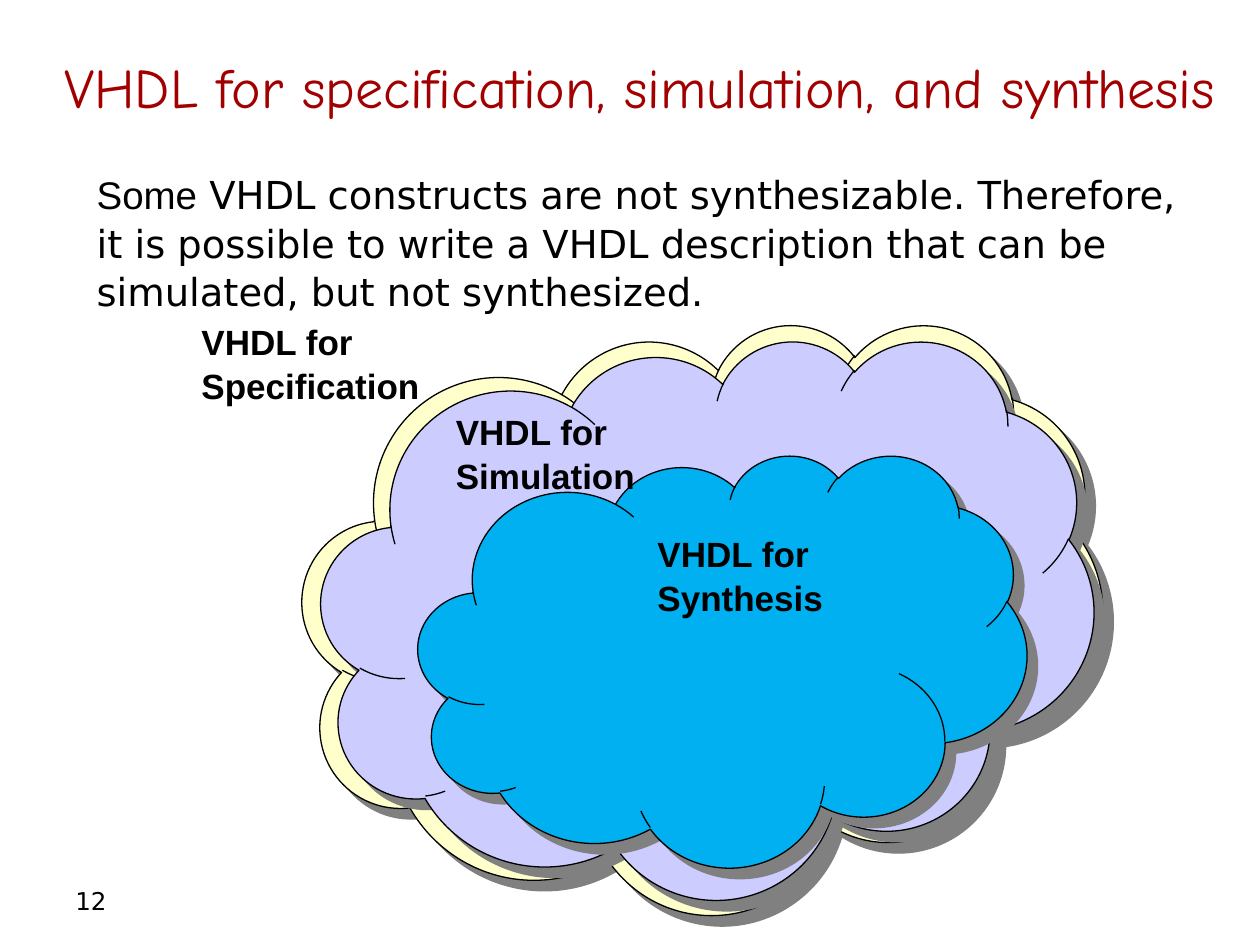
from lxml import etree
from pptx import Presentation
from pptx.dml.color import RGBColor
from pptx.enum.shapes import MSO_SHAPE
from pptx.enum.text import MSO_ANCHOR, PP_ALIGN
from pptx.oxml.ns import qn
from pptx.util import Pt

CLOUD = MSO_SHAPE.CLOUD
LEFT, RIGHT = PP_ALIGN.LEFT, PP_ALIGN.RIGHT
TOP, MIDDLE = MSO_ANCHOR.TOP, MSO_ANCHOR.MIDDLE
TITLE_ONLY = 5
COLORS = {
    "ink": "000000",
    "title": "A20000",
    "specification": "FFFFCC",
    "simulation": "CCCCFF",
    "synthesis": "00B0F0",
    "shadow": "808080",
}
SCOPES = [
    ("Specification", (172.8, 185, 457.2, 337), (108, 178.6, 210.2, 55.4)),
    ("Simulation", (183.6, 194.4, 441.4, 319), (253.4, 229.7, 191.5, 55.4)),
    ("Synthesis", (239, 259.9, 347.8, 235.4), (368.6, 299.5, 190.8, 55.4)),
]


def color(name):
    return RGBColor.from_string(COLORS[name])


def place(element, box):
    element.left, element.top, element.width, element.height = map(Pt, box)


def write(frame, *runs, size, fill="ink", bold=False, align=LEFT, anchor=TOP, spacing=1.0):
    frame.word_wrap = True
    frame.vertical_anchor = anchor
    paragraph = frame.paragraphs[0]
    paragraph.alignment = align
    paragraph.line_spacing = spacing
    paragraph.space_before = Pt(0)
    for text, typeface in runs:
        run = paragraph.add_run()
        run.text = text
        run.font.name = typeface
        run.font.size = Pt(size)
        run.font.bold = bold
        run.font.color.rgb = color(fill)


def add_text(slide, box, *runs, **style):
    write(slide.shapes.add_textbox(*map(Pt, box)).text_frame, *runs, **style)


def add_cloud(slide, box, fill):
    cloud = slide.shapes.add_shape(CLOUD, *map(Pt, box))
    cloud.fill.solid()
    cloud.fill.fore_color.rgb = color(fill)
    cloud.line.color.rgb = color("ink")
    cloud.line.width = Pt(0.75)
    cloud.shadow.inherit = False
    effects = cloud._element.spPr.find(qn("a:effectLst"))
    shadow = etree.SubElement(
        effects, qn("a:outerShdw"), dist=str(Pt(8.5)), dir=str(45 * 60000),
        algn="ctr", rotWithShape="0",
    )
    etree.SubElement(shadow, qn("a:srgbClr"), val=COLORS["shadow"])


def main():
    deck = Presentation()
    deck.slide_width, deck.slide_height = Pt(720), Pt(540)
    slide = deck.slides.add_slide(deck.slide_layouts[TITLE_ONLY])

    title = slide.shapes.title
    place(title, (5.8, 26.6, 696.2, 45.4))
    write(title.text_frame,
          ("VHDL for specification, simulation, and synthesis", "Comic Neue"),
          size=32, fill="title", align=RIGHT, anchor=MIDDLE)

    for scope, cloud_box, label_box in SCOPES:
        add_cloud(slide, cloud_box, scope.lower())
    for scope, cloud_box, label_box in SCOPES:
        add_text(slide, label_box, (f"VHDL for {scope}", "Arial"),
                 size=20, bold=True, spacing=1.05)

    add_text(slide, (48.2, 92.9, 649.4, 87.1),
             ("Some", "Arial"),
             (" VHDL constructs are not synthesizable. Therefore, it is possible to write "
              "a VHDL description that can be simulated, but not synthesized.", "DejaVu Sans"),
             size=22, spacing=1.05)
    add_text(slide, (36, 500.4, 167.8, 28.8), ("12", "DejaVu Sans"),
             size=14, anchor=MIDDLE)

    deck.save("out.pptx")


if __name__ == "__main__":
    main()
